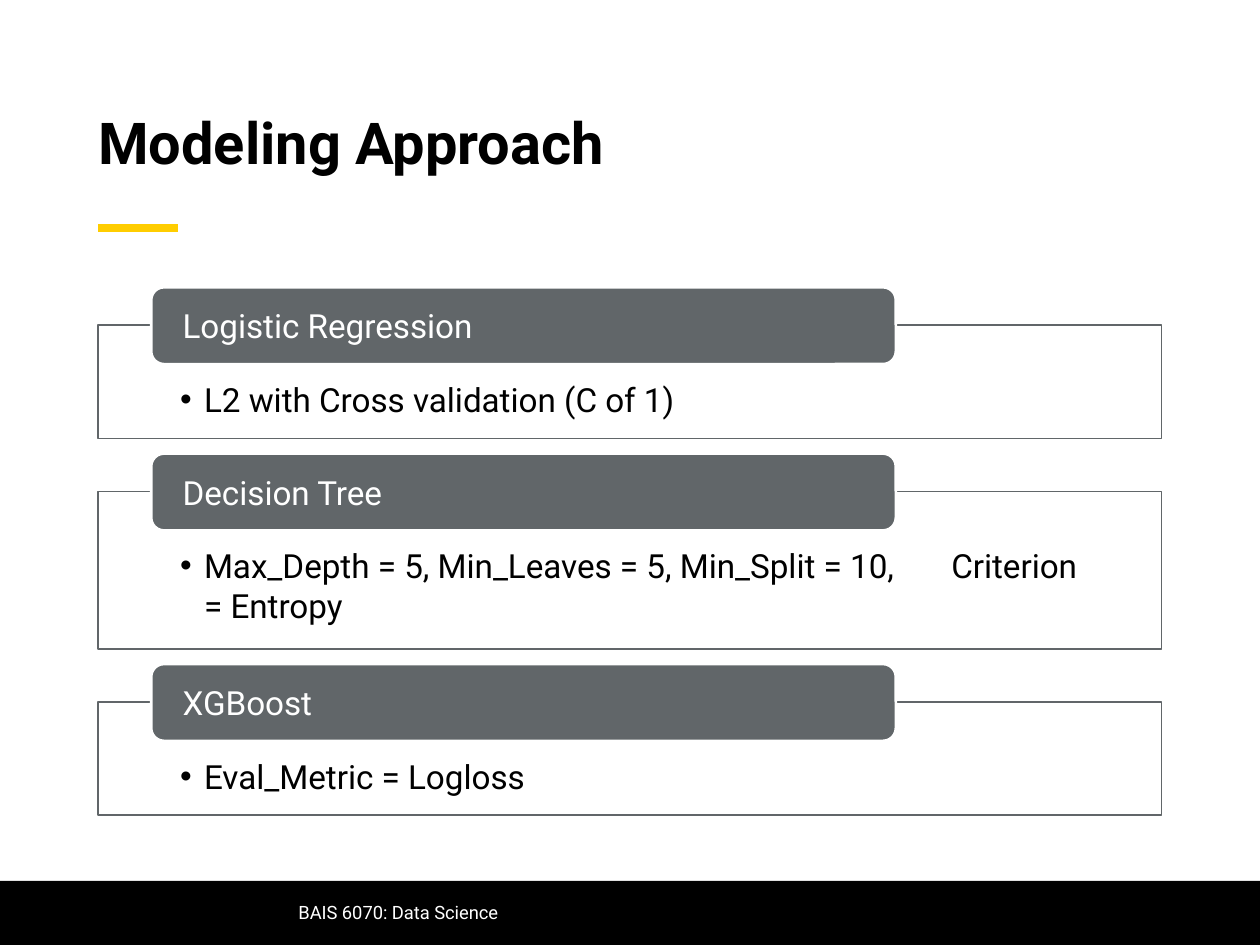
from lxml.etree import SubElement
from pptx import Presentation
from pptx.dml.color import RGBColor
from pptx.enum.shapes import MSO_CONNECTOR, MSO_SHAPE
from pptx.enum.text import MSO_ANCHOR, PP_ALIGN
from pptx.oxml.ns import qn
from pptx.util import Inches, Pt

BLACK = RGBColor(0x00, 0x00, 0x00)
WHITE = RGBColor(0xFF, 0xFF, 0xFF)
GOLD = RGBColor(0xFF, 0xCD, 0x00)
GRAY = RGBColor(0x61, 0x66, 0x69)
FONT = "Roboto"
COLUMNS, ROWS = 100, 75

MARGIN, CONTENT_WIDTH = 7.8, 84.4
FIRST_CARD_TOP, CARD_GAP = 25.8, 4.2
MODELS = [
    ("Logistic Regression", "L2 with Cross validation (C of 1)", 9),
    ("Decision Tree",
     "Max_Depth = 5, Min_Leaves = 5, Min_Split = 10,\tCriterion = Entropy", 12.5),
    ("XGBoost", "Eval_Metric = Logloss", 9),
]


def write(shape, text, size=19, color=BLACK, bold=False, anchor=MSO_ANCHOR.MIDDLE,
          insets=(0, 0, 0, 0), line_spacing=1.0):
    frame = shape.text_frame
    frame.word_wrap = True
    frame.vertical_anchor = anchor
    (frame.margin_left, frame.margin_top,
     frame.margin_right, frame.margin_bottom) = map(Inches, insets)
    paragraph = frame.paragraphs[0]
    paragraph.alignment = PP_ALIGN.LEFT
    paragraph.line_spacing = line_spacing
    run = paragraph.add_run()
    run.text = text
    run.font.name = FONT
    run.font.size = Pt(size)
    run.font.bold = bold
    run.font.color.rgb = color
    return paragraph


def add_bullet(paragraph, indent, tab_stop):
    properties = paragraph._p.get_or_add_pPr()
    properties.set("marL", str(Inches(indent)))
    properties.set("indent", str(-Inches(indent)))
    SubElement(properties, qn("a:buFont"), typeface="Arial")
    SubElement(properties, qn("a:buChar"), char="•")
    tabs = SubElement(properties, qn("a:tabLst"))
    SubElement(tabs, qn("a:tab"), pos=str(Inches(tab_stop)), algn="l")


class ModelSlide:
    def __init__(self, deck):
        self.slide = deck.slides.add_slide(deck.slide_layouts[5])
        self.column = deck.slide_width / COLUMNS
        self.row = deck.slide_height / ROWS

    def place(self, left, top, width, height):
        return (round(left * self.column), round(top * self.row),
                round(width * self.column), round(height * self.row))

    def title(self, text, *area):
        heading = self.slide.shapes.title
        heading.left, heading.top, heading.width, heading.height = self.place(*area)
        write(heading, text, size=33, bold=True, line_spacing=0.9)

    def accent(self, left, top, width):
        x, y, length, _ = self.place(left, top, width, 0)
        rule = self.slide.shapes.add_connector(
            MSO_CONNECTOR.STRAIGHT, x, y, x + length, y)
        rule.line.color.rgb = GOLD
        rule.line.width = Pt(5)
        SubElement(rule._element.spPr, qn("a:effectLst"))

    def panel(self, kind, area, fill, outline=None, weight=1):
        shape = self.slide.shapes.add_shape(kind, *self.place(*area))
        shape.shadow.inherit = False
        shape.fill.solid()
        shape.fill.fore_color.rgb = fill
        if outline is None:
            shape.line.fill.background()
        else:
            shape.line.color.rgb = outline
            shape.line.width = Pt(weight)
        return shape

    def footer(self, text):
        self.panel(MSO_SHAPE.RECTANGLE, (0, 69.9, COLUMNS, 5.1), BLACK)
        course = self.slide.shapes.add_textbox(*self.place(22.7, 70.4, 71.2, 4))
        write(course, text, size=10.5, color=WHITE, insets=(0.1, 0.05, 0.1, 0.05))

    def card(self, model, settings, top, height):
        body = self.panel(MSO_SHAPE.RECTANGLE, (MARGIN, top, CONTENT_WIDTH, height),
                          WHITE, GRAY)
        detail = write(body, settings, anchor=MSO_ANCHOR.TOP,
                       insets=(0.65, 0.43, 0.65, 0.15))
        add_bullet(detail, indent=0.19, tab_stop=6.12)
        header = self.panel(MSO_SHAPE.ROUNDED_RECTANGLE, (12, top - 3, 59.1, 6.1),
                            GRAY, WHITE, 1.5)
        write(header, model, color=WHITE, insets=(0.22, 0, 0.22, 0))


def main():
    deck = Presentation()
    deck.slide_width, deck.slide_height = Inches(10), Inches(7.5)
    page = ModelSlide(deck)
    page.accent(MARGIN, 18.1, 6.3)
    page.footer("BAIS 6070: Data Science")
    page.title("Modeling Approach", MARGIN, 4.3, CONTENT_WIDTH, 14.6)
    top = FIRST_CARD_TOP
    for model, settings, height in MODELS:
        page.card(model, settings, top, height)
        top += height + CARD_GAP
    deck.save("out.pptx")


if __name__ == "__main__":
    main()
